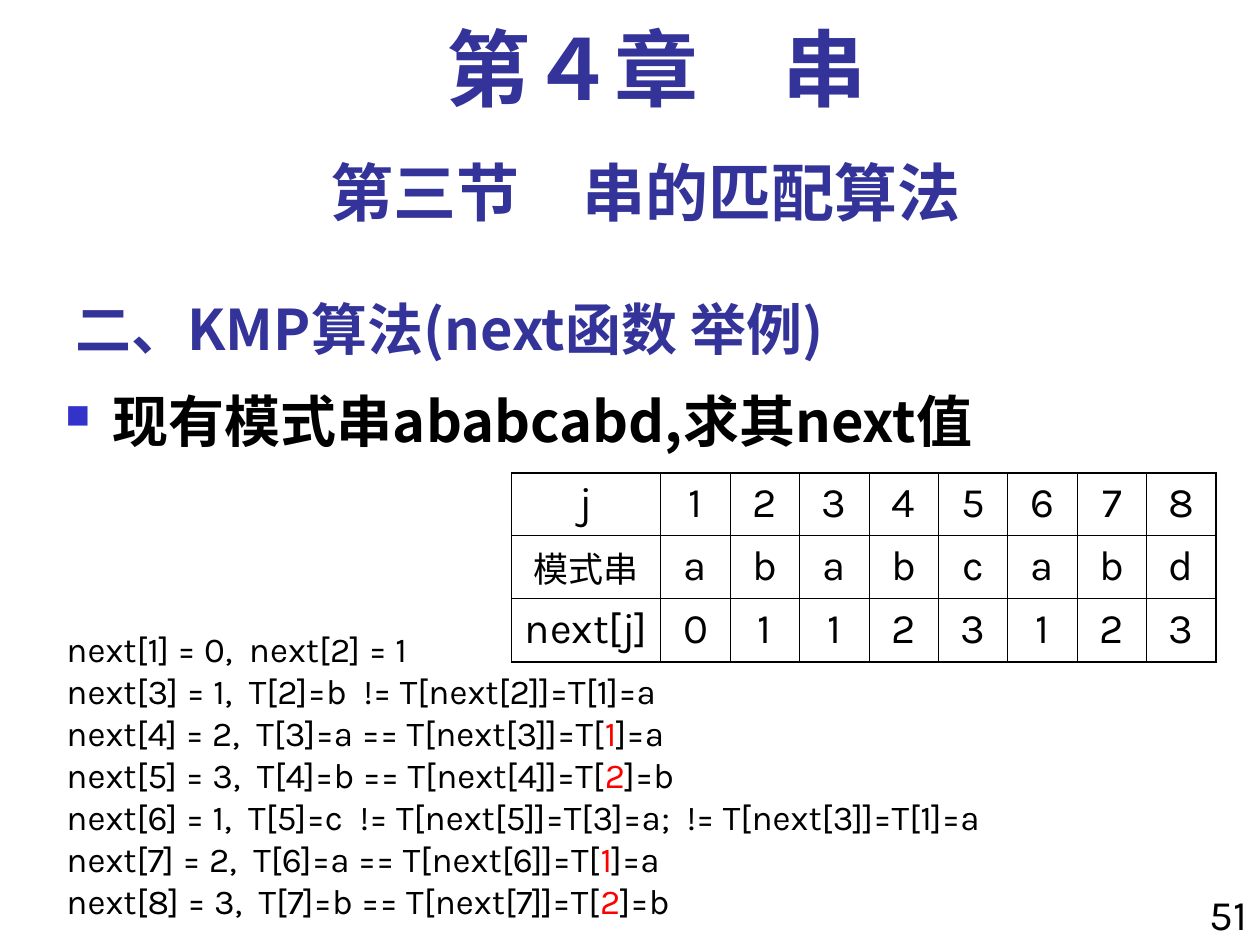
from lxml import etree
from pptx import Presentation
from pptx.dml.color import RGBColor
from pptx.enum.text import MSO_ANCHOR, PP_ALIGN
from pptx.oxml.ns import qn
from pptx.util import Cm, Pt

LEFT, CENTER, RIGHT = PP_ALIGN.LEFT, PP_ALIGN.CENTER, PP_ALIGN.RIGHT
TOP, BOTTOM = MSO_ANCHOR.TOP, MSO_ANCHOR.BOTTOM
COLORS = {"heading": "333399", "text": "000000", "match": "FF0000", "bullet": "3333CC"}
CJK_FONT, LATIN_FONT, CHAPTER_FONT = "Noto Sans CJK SC", "Karla", "Times New Roman"

STYLES = {
    "chapter": {"font": CHAPTER_FONT, "size": 48, "bold": True, "color": "heading",
                "paragraph": {"alignment": CENTER, "line_spacing": 0.9}},
    "section": {"font": LATIN_FONT, "size": 36, "bold": True, "color": "heading",
                "paragraph": {"alignment": CENTER}},
    "topic": {"font": CJK_FONT, "size": 32, "bold": True, "color": "heading",
              "paragraph": {"alignment": LEFT}},
    "question": {"font": CJK_FONT, "size": 32, "bold": True, "color": "text",
                 "paragraph": {"alignment": LEFT, "line_spacing": 0.9}},
    "steps": {"font": LATIN_FONT, "size": 20, "bold": False, "color": "text",
              "paragraph": {"alignment": LEFT}},
    "cell": {"font": LATIN_FONT, "size": 24, "bold": False, "color": "text",
             "paragraph": {"alignment": CENTER}},
    "row label": {"font": LATIN_FONT, "size": 20, "bold": False, "color": "text",
                  "paragraph": {"alignment": CENTER}},
    "page": {"font": LATIN_FONT, "size": 24, "bold": False, "color": "text",
             "paragraph": {"alignment": RIGHT}},
}

STEPS = [
    ["next[1] = 0,  next[2] = 1"],
    ["next[3] = 1,  T[2]=b  != T[next[2]]=T[1]=a"],
    ["next[4] = 2,  T[3]=a == T[next[3]]=T[", "1", "]=a"],
    ["next[5] = 3,  T[4]=b == T[next[4]]=T[", "2", "]=b"],
    ["next[6] = 1,  T[5]=c  != T[next[5]]=T[3]=a;  != T[next[3]]=T[1]=a"],
    ["next[7] = 2,  T[6]=a == T[next[6]]=T[", "1", "]=a"],
    ["next[8] = 3,  T[7]=b == T[next[7]]=T[", "2", "]=b"],
]

TEXT_BOXES = [
    ("topic", (1.27, 5.51, 15.88, 1.9), BOTTOM, [["二、KMP算法(next函数 举例)"]]),
    ("section", (1.27, 2.97, 23.5, 1.78), TOP, [["第三节　串的匹配算法"]]),
    ("question", (1.07, 7.82, 23.5, 2.54), TOP, [["现有模式串ababcabd,求其next值"]]),
    ("chapter", (1.7, 0.43, 23.06, 2.11), TOP, [["第４章　串"]]),
    ("page", (23.7, 17.78, 1.7, 1.5), TOP, [["51"]]),
    ("steps", (1.09, 12.52, 24.31, 6.2), TOP, STEPS),
]

NEXT_TABLE = [
    ["j", *"12345678"],
    ["模式串", *"ababcabd"],
    ["next[j]", *"01123123"],
]
TABLE_LEFT, TABLE_TOP = 10.31, 9.53
LABEL_WIDTH, VALUE_WIDTH, ROW_HEIGHT = 3.01, 1.4, 1.27
OUTER_LINE, INNER_LINE = 1.08, 0.45


def write_runs(paragraph, parts, style):
    for name, value in style["paragraph"].items():
        setattr(paragraph, name, value)
    for index, part in enumerate(parts):
        run = paragraph.add_run()
        run.text = part
        font_format = {"name": style["font"], "size": Pt(style["size"]), "bold": style["bold"]}
        for name, value in font_format.items():
            setattr(run.font, name, value)
        color = "match" if index == 1 else style["color"]
        run.font.color.rgb = RGBColor.from_string(COLORS[color])
        east_asian = etree.SubElement(run.font._element, qn("a:ea"))
        east_asian.set("typeface", CJK_FONT)


def add_bullet(paragraph):
    properties = paragraph._p.get_or_add_pPr()
    properties.set("marL", str(Cm(0.95)))
    properties.set("indent", str(-Cm(0.95)))
    color = etree.SubElement(properties, qn("a:buClr"))
    etree.SubElement(color, qn("a:srgbClr")).set("val", COLORS["bullet"])
    etree.SubElement(properties, qn("a:buSzPct")).set("val", "60000")
    etree.SubElement(properties, qn("a:buChar")).set("char", "■")


def add_text_box(slide, style_name, box, anchor, lines):
    frame = slide.shapes.add_textbox(*map(Cm, box)).text_frame
    frame.word_wrap = True
    frame.vertical_anchor = anchor
    for index, parts in enumerate(lines):
        paragraph = frame.add_paragraph() if index else frame.paragraphs[0]
        if style_name == "question":
            add_bullet(paragraph)
        write_runs(paragraph, parts, STYLES[style_name])


def set_borders(cell, outer_sides):
    properties = cell._tc.get_or_add_tcPr()
    for position, (side, is_outer) in enumerate(outer_sides.items()):
        line = etree.Element(qn(f"a:{side}"))
        line.set("w", str(Pt(OUTER_LINE if is_outer else INNER_LINE)))
        fill = etree.SubElement(line, qn("a:solidFill"))
        etree.SubElement(fill, qn("a:srgbClr")).set("val", COLORS["text"])
        properties.insert(position, line)


def add_next_table(slide):
    row_count, column_count = len(NEXT_TABLE), len(NEXT_TABLE[0])
    widths = [LABEL_WIDTH] + [VALUE_WIDTH] * (column_count - 1)
    box = (TABLE_LEFT, TABLE_TOP, sum(widths), ROW_HEIGHT * row_count)
    table = slide.shapes.add_table(row_count, column_count, *map(Cm, box)).table
    for column, width in zip(table.columns, widths):
        column.width = Cm(width)
    for row_index, values in enumerate(NEXT_TABLE):
        table.rows[row_index].height = Cm(ROW_HEIGHT)
        for column_index, value in enumerate(values):
            cell = table.cell(row_index, column_index)
            cell.fill.background()
            style_name = "row label" if value == "模式串" else "cell"
            write_runs(cell.text_frame.paragraphs[0], [value], STYLES[style_name])
            set_borders(cell, {
                "lnL": column_index == 0,
                "lnR": column_index == column_count - 1,
                "lnT": row_index == 0,
                "lnB": row_index == row_count - 1,
            })


def main():
    presentation = Presentation()
    presentation.slide_width, presentation.slide_height = Cm(25.4), Cm(19.05)
    slide = presentation.slides.add_slide(presentation.slide_layouts[6])
    for text_box in TEXT_BOXES:
        add_text_box(slide, *text_box)
    add_next_table(slide)
    presentation.save("out.pptx")


if __name__ == "__main__":
    main()
